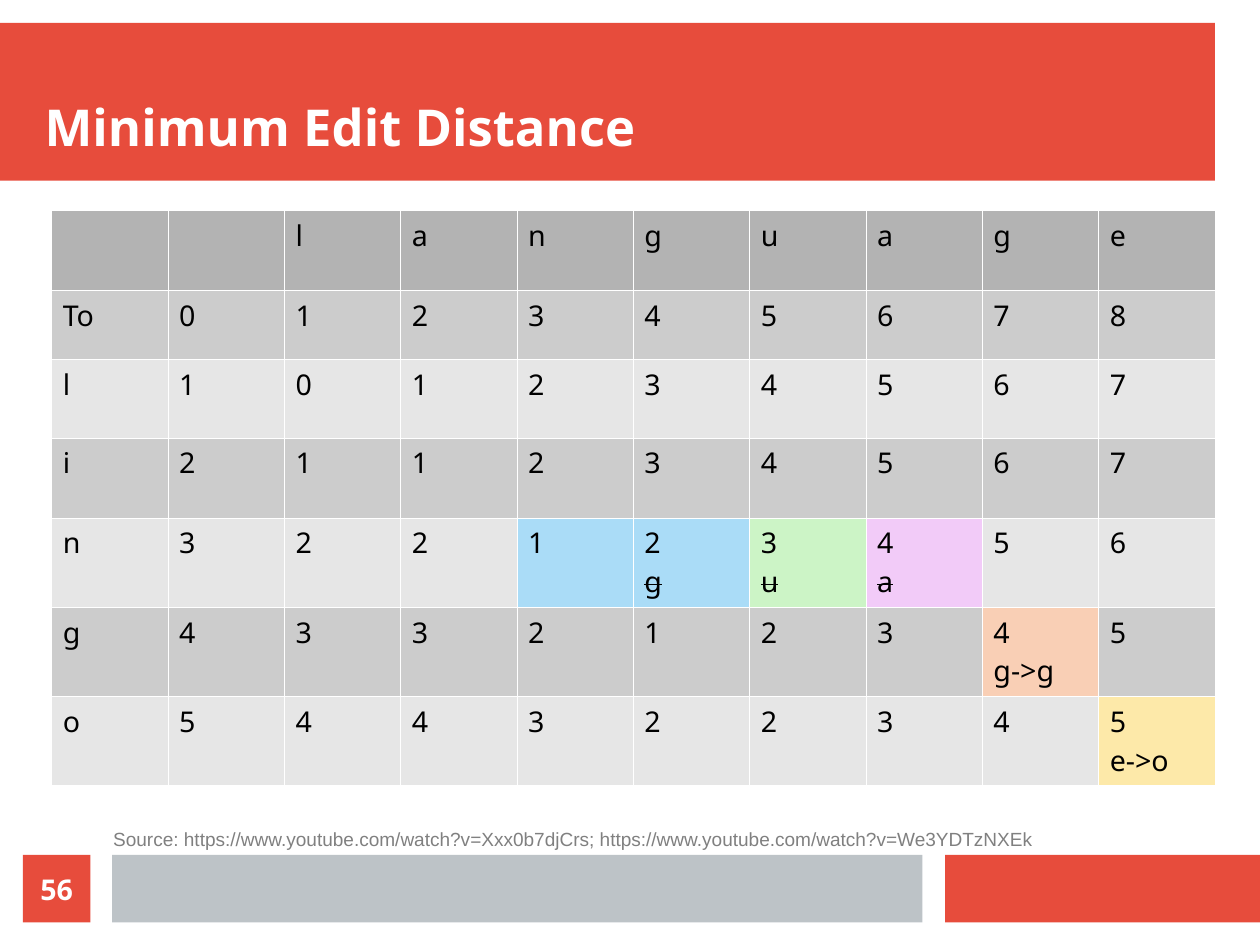
from dataclasses import dataclass

from lxml import etree
from pptx import Presentation
from pptx.dml.color import RGBColor
from pptx.enum.shapes import MSO_SHAPE
from pptx.enum.text import MSO_ANCHOR, PP_ALIGN
from pptx.oxml.ns import qn
from pptx.util import Inches, Pt

RECTANGLE = MSO_SHAPE.RECTANGLE
TOP, MIDDLE, BOTTOM = MSO_ANCHOR.TOP, MSO_ANCHOR.MIDDLE, MSO_ANCHOR.BOTTOM
LEFT, CENTER = PP_ALIGN.LEFT, PP_ALIGN.CENTER

# The page measures 28 by 21 centimetres
CM_PER_INCH = 2.54
PAGE_WIDTH, PAGE_HEIGHT = 28 / CM_PER_INCH, 21 / CM_PER_INCH


@dataclass(frozen=True)
class Theme:
    red: str = "E74C3C"
    silver: str = "BDC3C7"
    white: str = "FFFFFF"
    black: str = "000000"
    source_gray: str = "808080"
    header: str = "B3B3B3"
    bands: tuple = ("E6E6E6", "CCCCCC")
    blue: str = "AADCF7"
    green: str = "CCF4C6"
    violet: str = "F2CBF8"
    orange: str = "F9CFB5"
    yellow: str = "FDE9A9"
    body_font: str = "Noto Sans"
    source_font: str = "Arial"
    title_size: int = 32
    body_size: int = 18
    source_size: int = 12
    border_points: float = 0.06


THEME = Theme()

DISTANCES = [
    ["", "", *"language"],
    ["To", *"012345678"],
    ["l", *"101234567"],
    ["i", *"211234567"],
    ["n", *"322123456"],
    ["g", *"433212345"],
    ["o", *"544322345"],
]
ROW_HEIGHTS = [0.7, 0.6, 0.69, 0.7, 0.78, 0.78, 0.78]

# (row, column): fill, edit shown under the distance, whether it is struck out
EDIT_STEPS = {
    (4, 4): (THEME.blue, "", False),
    (4, 5): (THEME.blue, "g", True),
    (4, 6): (THEME.green, "u", True),
    (4, 7): (THEME.violet, "a", True),
    (5, 8): (THEME.orange, "g->g", False),
    (6, 9): (THEME.yellow, "e->o", False),
}


def paint(fill, color):
    fill.solid()
    fill.fore_color.rgb = RGBColor.from_string(color)


def add_run(para, text, color=THEME.black, size=THEME.body_size,
            name=THEME.body_font, bold=False):
    run = para.add_run()
    run.text = text
    for attribute, value in {"size": Pt(size), "name": name, "bold": bold}.items():
        setattr(run.font, attribute, value)
    run.font.color.rgb = RGBColor.from_string(color)
    return run


def write_text(box, text, anchor=TOP, align=LEFT, left_inset=0, **style):
    """Write one paragraph into a box whose other insets are zero."""
    frame = box.text_frame
    settings = {"word_wrap": True, "vertical_anchor": anchor,
                "margin_left": Inches(left_inset), "margin_right": 0,
                "margin_top": 0, "margin_bottom": 0}
    for attribute, value in settings.items():
        setattr(frame, attribute, value)
    para = frame.paragraphs[0]
    para.alignment = align
    add_run(para, text, **style)


def add_panel(page, left, top, width, height, color):
    panel = page.shapes.add_shape(RECTANGLE, Inches(left), Inches(top),
                                  Inches(width), Inches(height))
    panel.shadow.inherit = False
    paint(panel.fill, color)
    panel.line.fill.background()
    return panel


def add_label(page, left, top, width, height, text, **style):
    box = page.shapes.add_textbox(Inches(left), Inches(top),
                                  Inches(width), Inches(height))
    write_text(box, text, **style)


def add_cell_borders(cell):
    properties = cell._tc.get_or_add_tcPr()
    for side in ("a:lnL", "a:lnR", "a:lnT", "a:lnB"):
        line = etree.SubElement(properties, qn(side), w=str(Pt(THEME.border_points)))
        solid = etree.SubElement(line, qn("a:solidFill"))
        etree.SubElement(solid, qn("a:srgbClr"), val=THEME.white)


def fill_cell(cell, text, color, edit="", struck=False):
    add_cell_borders(cell)
    paint(cell.fill, color)
    frame = cell.text_frame
    if text:
        add_run(frame.paragraphs[0], text)
    if edit:
        run = add_run(frame.add_paragraph(), edit)
        if struck:
            run._r.get_or_add_rPr().set("strike", "sngStrike")


def add_distance_table(page):
    table = page.shapes.add_table(
        len(DISTANCES), len(DISTANCES[0]), Inches(0.45), Inches(1.84),
        Inches(10.18), Inches(sum(ROW_HEIGHTS))).table
    table.first_row = False
    table.horz_banding = False
    for row, height in zip(table.rows, ROW_HEIGHTS):
        row.height = Inches(height)
    for i, values in enumerate(DISTANCES):
        row_color = THEME.bands[i % 2] if i else THEME.header
        for j, value in enumerate(values):
            step = EDIT_STEPS.get((i, j), (row_color,))
            fill_cell(table.cell(i, j), value, *step)


def main():
    deck = Presentation()
    deck.slide_width, deck.slide_height = Inches(PAGE_WIDTH), Inches(PAGE_HEIGHT)
    page = deck.slides.add_slide(deck.slide_layouts[6])

    add_panel(page, 0, 0.2, 10.63, 1.38, THEME.red)
    add_panel(page, 8.27, 7.48, PAGE_WIDTH - 8.27, 0.59, THEME.red)
    add_panel(page, 0.98, 7.48, 7.09, 0.59, THEME.silver)
    add_label(page, 0.75, 7.24, 10.04, 0.28,
              "Source: https://www.youtube.com/watch?v=Xxx0b7djCrs; "
              "https://www.youtube.com/watch?v=We3YDTzNXEk",
              left_inset=0.24, color=THEME.source_gray,
              size=THEME.source_size, name=THEME.source_font)
    add_distance_table(page)
    add_label(page, 0.39, 0.39, 10.24, 0.98, "Minimum Edit Distance",
              anchor=BOTTOM, color=THEME.white, size=THEME.title_size, bold=True)
    page_number = add_panel(page, 0.2, 7.48, 0.59, 0.59, THEME.red)
    write_text(page_number, "56", anchor=MIDDLE, align=CENTER,
               color=THEME.white, bold=True)

    deck.save("out.pptx")


if __name__ == "__main__":
    main()
